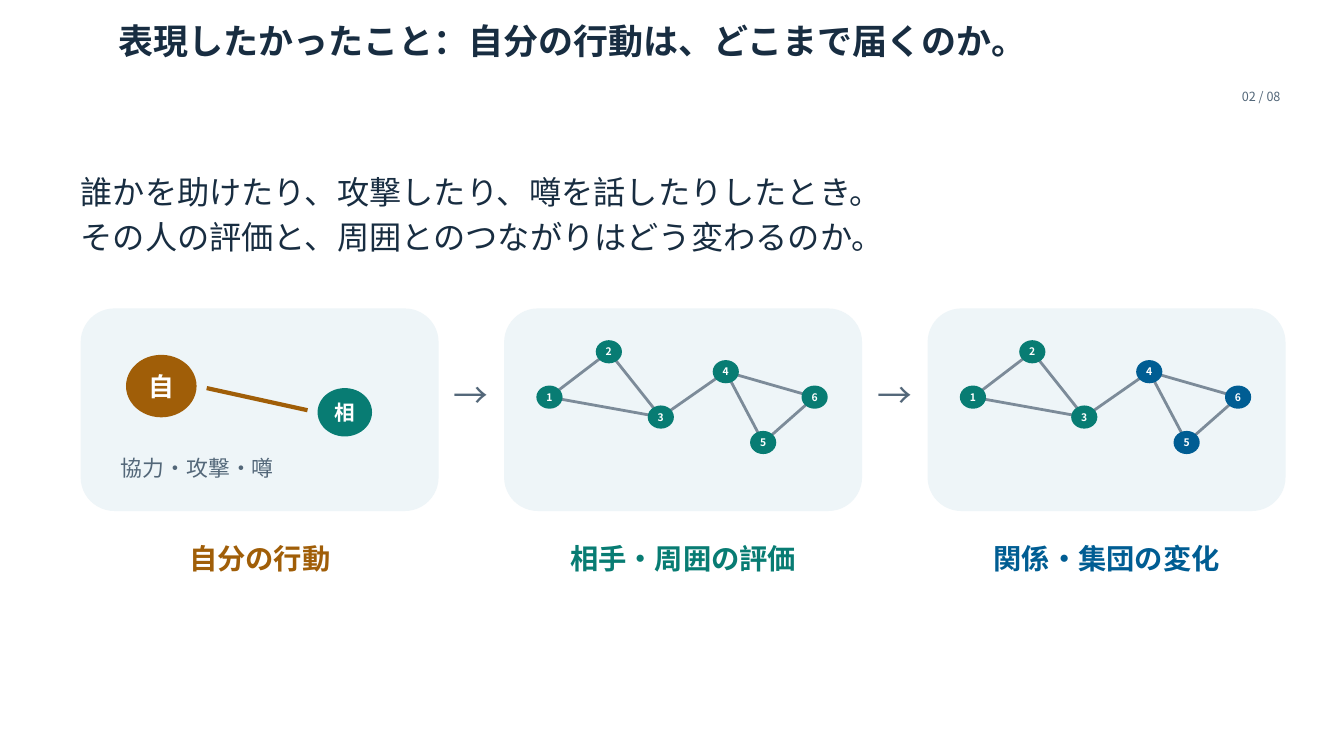
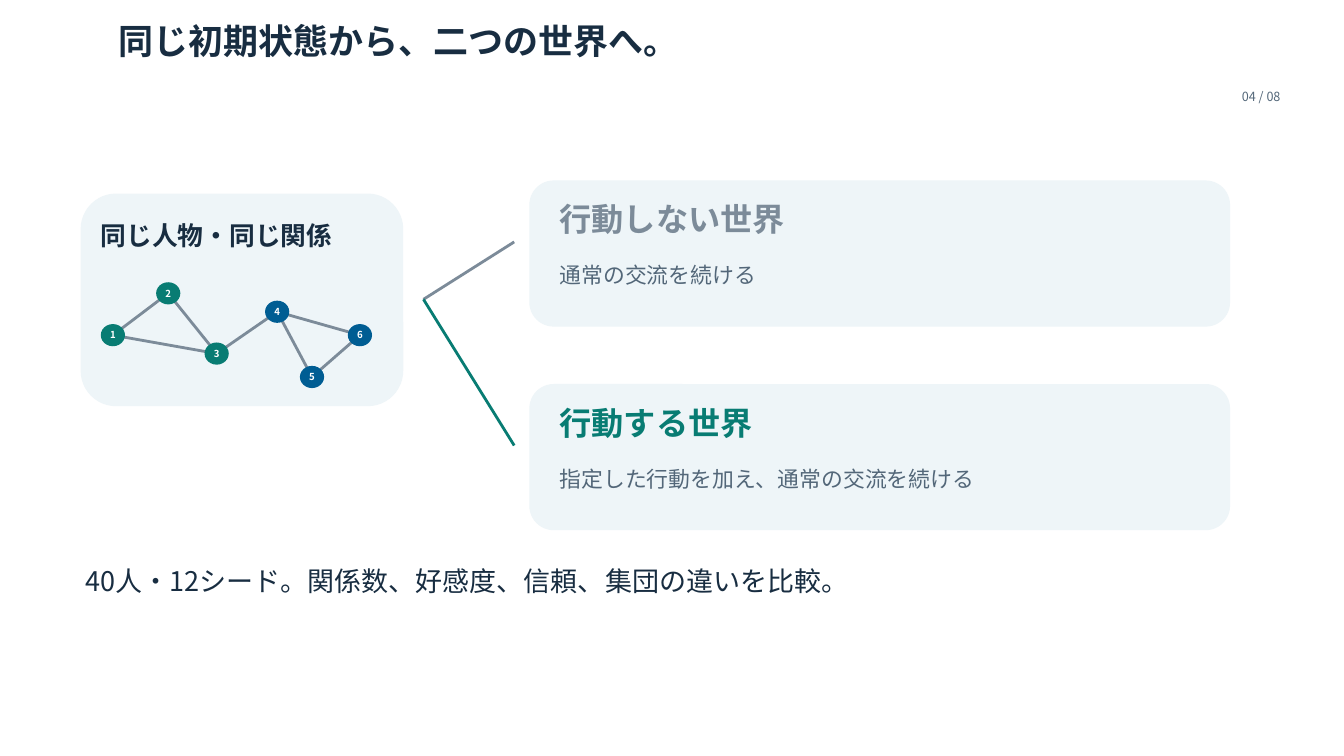
import pptx
import pptx.util
import pptx.dml.color
import pptx.enum.shapes
import pptx.enum.text
import pptx.oxml.ns
from lxml import etree

RGB = pptx.dml.color.RGBColor
SHAPE = pptx.enum.shapes.MSO_SHAPE
ALIGN = pptx.enum.text.PP_ALIGN
qn = pptx.oxml.ns.qn

PX = 9144  # 100 px to the inch
FONT = "Noto Sans CJK JP"
INK = RGB(0x18, 0x2D, 0x41)
MUTED = RGB(0x53, 0x67, 0x79)
GRAY = RGB(0x7C, 0x8B, 0x99)
PANEL = RGB(0xEE, 0xF5, 0xF8)
BROWN = RGB(0xA0, 0x5E, 0x08)
GREEN = RGB(0x08, 0x7C, 0x73)
BLUE = RGB(0x00, 0x5D, 0x93)
WHITE = RGB(0xFF, 0xFF, 0xFF)

# Node positions as shares of the network's box, and the pairs that are joined
NODES = [(0, .5), (.224, 0), (.42, .72), (.665, .22), (.806, 1), (1, .5)]
EDGES = [(0, 1), (0, 2), (1, 2), (2, 3), (3, 4), (3, 5), (4, 5)]
ONE_GROUP = [GREEN] * 6
TWO_GROUPS = [GREEN] * 3 + [BLUE] * 3


def emu(*lengths):
    return [round(n * PX) for n in lengths]


def write(tf, lines, size, color, bold=False, align=ALIGN.LEFT, after=0):
    for side in ("left", "top", "right", "bottom"):
        setattr(tf, "margin_" + side, 0)
    for i, line in enumerate(lines):
        p = tf.paragraphs[0] if i == 0 else tf.add_paragraph()
        p.alignment = align
        p.space_after = pptx.util.Pt(after)
        r = p.add_run()
        r.text = line
        for name, value in {"size": pptx.util.Pt(size), "bold": bold, "name": FONT}.items():
            setattr(r.font, name, value)
        r.font.color.rgb = color
        etree.SubElement(r.font._element, qn("a:ea"), typeface=FONT)


def text(s, box, lines, size, color, bold=False, align=ALIGN.LEFT, after=4.4):
    tf = s.shapes.add_textbox(*emu(*box)).text_frame
    tf.word_wrap = True
    tf.auto_size = pptx.enum.text.MSO_AUTO_SIZE.SHAPE_TO_FIT_TEXT
    write(tf, lines, size, color, bold, align, after)


def shape(s, kind, box, color):
    sp = s.shapes.add_shape(kind, *emu(*box))
    sp.shadow.inherit = False
    sp.fill.solid()
    sp.fill.fore_color.rgb = color
    sp.line.fill.background()
    return sp


def panel(s, box):
    shape(s, SHAPE.ROUNDED_RECTANGLE, box, PANEL)


def node(s, center, size, label, points, color):
    (x, y), (w, h) = center, size
    tf = shape(s, SHAPE.OVAL, (x - w / 2, y - h / 2, w, h), color).text_frame
    tf.vertical_anchor = pptx.enum.text.MSO_ANCHOR.MIDDLE
    write(tf, [label], points, WHITE, True, ALIGN.CENTER)


def line(s, start, end, color, width=2):
    c = s.shapes.add_connector(pptx.enum.shapes.MSO_CONNECTOR.STRAIGHT, *emu(*start, *end))
    c.line.color.rgb = color
    c.line.width = pptx.util.Pt(width)
    etree.SubElement(c._element.spPr, qn("a:effectLst"))


def network(s, box, size, points, colors):
    x, y, w, h = box
    centers = [(x + fx * w, y + fy * h) for fx, fy in NODES]
    for a, b in EDGES:
        line(s, centers[a], centers[b], GRAY)
    for i, (center, color) in enumerate(zip(centers, colors), 1):
        node(s, center, size, str(i), points, color)


def new_slide(prs, title, page):
    """Add a blank slide with the shared title and page number."""
    s = prs.slides.add_slide(prs.slide_layouts[6])
    text(s, (118, 19, 1100, 66), [title], 25, INK, True, after=5)
    text(s, (1220, 88, 50, 20), [f"{page:02} / 08"], 9, MUTED, align=ALIGN.RIGHT, after=5)
    return s


def action_scene(s, x, y):
    node(s, (x + 80, y + 77), (70, 62), "自", 18.4, BROWN)
    node(s, (x + 262, y + 103), (54, 48), "相", 14.7, GREEN)
    line(s, (x + 125, y + 79), (x + 225, y + 101), BROWN, 3)
    text(s, (x + 40, y + 145, 290, 35), ["協力・攻撃・噂"], 15.6, MUTED)


def stage(s, box, caption, color, group_colors=None):
    """One captioned step: a network, or the action scene if it has no groups."""
    x, y, w, h = box
    panel(s, box)
    if group_colors:
        network(s, (x + 45, y + 43, 263, 90), (26, 23), 7.4, group_colors)
    else:
        action_scene(s, x, y)
    text(s, (x, y + h + 30, w, 40), [caption], 20.2, color, True, ALIGN.CENTER)


def reach_slide(prs):
    s = new_slide(prs, "表現したかったこと：自分の行動は、どこまで届くのか。", 2)
    text(s, (80, 171, 1180, 97), ["誰かを助けたり、攻撃したり、噂を話したりしたとき。",
                                  "その人の評価と、周囲とのつながりはどう変わるのか。"], 23, INK)
    stages = [("自分の行動", BROWN, None),
              ("相手・周囲の評価", GREEN, ONE_GROUP),
              ("関係・集団の変化", BLUE, TWO_GROUPS)]
    left, top, width, step = 80, 306, 355, 420
    for i, (caption, color, group_colors) in enumerate(stages):
        x = left + i * step
        if i:
            text(s, (x - 50, top + 65, 45, 48), ["→"], 24.8, MUTED)
        stage(s, (x, top, width, 201), caption, color, group_colors)


def start_panel(s, box):
    x, y, w, h = box
    panel(s, box)
    text(s, (x + 20, y + 26, w - 40, 40), ["同じ人物・同じ関係"], 18.4, INK, True)
    network(s, (x + 32, y + 99, 245, 83), (24, 22), 6.9, TWO_GROUPS)


def world(s, box, name, note, color):
    x, y, w, h = box
    panel(s, box)
    text(s, (x + 30, y + 19, 590, 44), [name], 23, color, True)
    text(s, (x + 30, y + 81, 625, 35), [note], 15.6, MUTED)


def worlds_slide(prs):
    s = new_slide(prs, "同じ初期状態から、二つの世界へ。", 4)
    start_panel(s, (80, 192, 320, 211))
    worlds = [("行動しない世界", "通常の交流を続ける", GRAY),
              ("行動する世界", "指定した行動を加え、通常の交流を続ける", GREEN)]
    for i, (name, note, color) in enumerate(worlds):
        x, y = 525, 179 + i * 202
        line(s, (420, 297), (x - 15, y + 61), color)
        world(s, (x, y, 695, 145), name, note, color)
    text(s, (85, 560, 1180, 44), ["40人・12シード。関係数、好感度、信頼、集団の違いを比較。"], 19.3, INK)


def main():
    prs = pptx.Presentation()
    prs.slide_width, prs.slide_height = emu(1333, 750)
    reach_slide(prs)
    worlds_slide(prs)
    prs.save("out.pptx")


if __name__ == "__main__":
    main()
